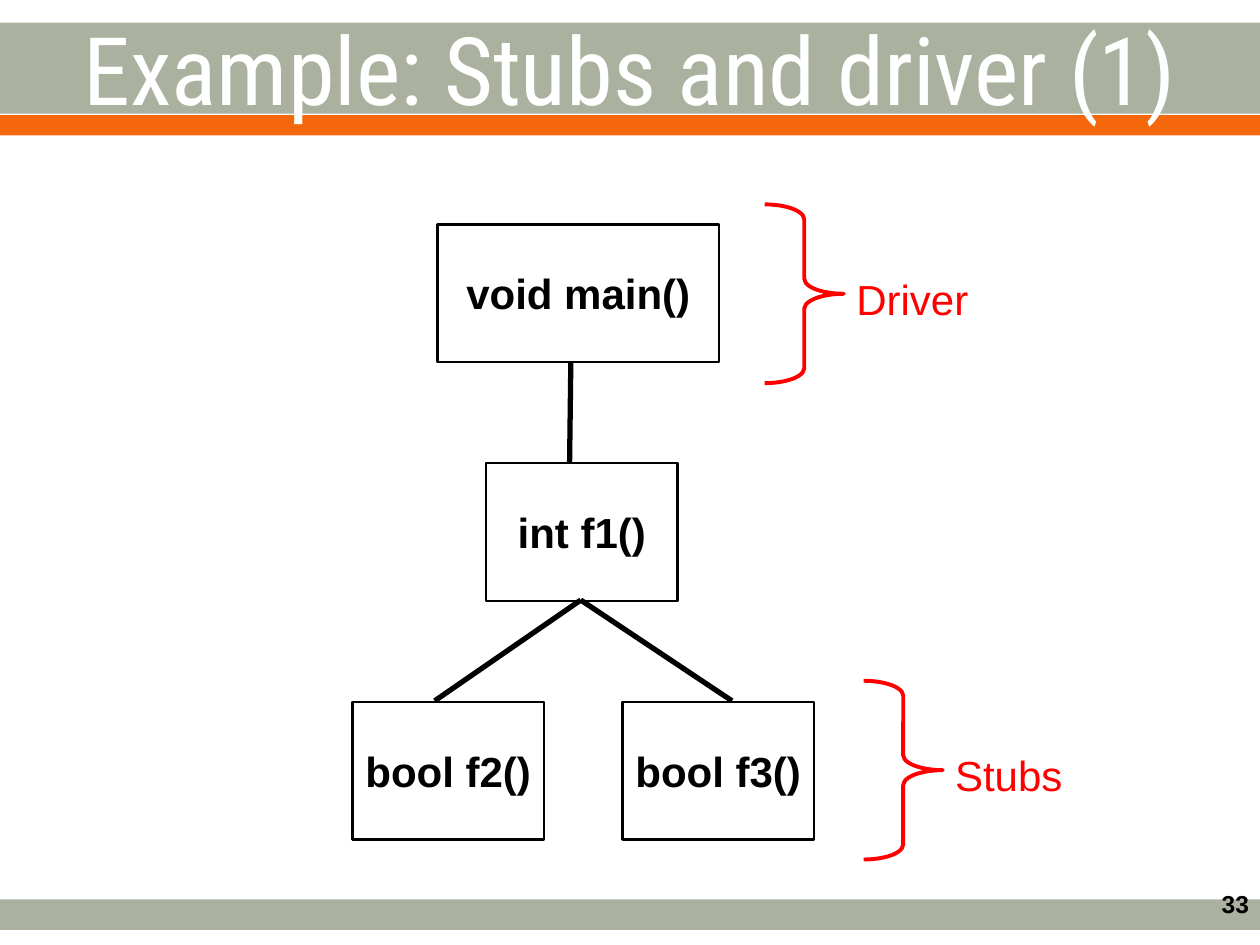
import pptx
import pptx.util
import pptx.dml.color
import pptx.enum.shapes
import pptx.enum.text
import pptx.oxml.ns
import lxml.etree

Pt = pptx.util.Pt
SHAPE = pptx.enum.shapes.MSO_SHAPE
ALIGN = pptx.enum.text.PP_ALIGN
ANCHOR = pptx.enum.text.MSO_ANCHOR

COLORS = {
    "band": "ABB19F",
    "accent": "F4680B",
    "ink": "000000",
    "note": "FF0000",
    "title": "FFFFFF",
}
SLIDE_WIDTH, SLIDE_HEIGHT = 720, 540
BOX_HEIGHT = 78.7
TOP_LEVEL, LEVEL_STEP = 128.2, 136.5
BRACE_WIDTH, BRACE_HEIGHT = 45.2, 102.2


def color(name):
    return pptx.dml.color.RGBColor.from_string(COLORS[name])


def write(shape, text, size=24, font="Arial", ink="ink", bold=False,
          align=ALIGN.LEFT, anchor=ANCHOR.TOP, wrap=False):
    frame = shape.text_frame
    frame.word_wrap = wrap
    frame.vertical_anchor = anchor
    paragraph = frame.paragraphs[0]
    paragraph.alignment = align
    run = paragraph.add_run()
    run.text = text
    run.font.size = Pt(size)
    run.font.name = font
    run.font.bold = bold
    run.font.color.rgb = color(ink)


def add_shape(slide, kind, left, top, width, height, fill=None, line=None, weight=1.5):
    shape = slide.shapes.add_shape(kind, Pt(left), Pt(top), Pt(width), Pt(height))
    shape.shadow.inherit = False
    if fill:
        shape.fill.solid()
        shape.fill.fore_color.rgb = color(fill)
    else:
        shape.fill.background()
    if line:
        shape.line.color.rgb = color(line)
        shape.line.width = Pt(weight)
    else:
        shape.line.fill.background()
    return shape


def add_text(slide, text, left, top, width, height, **text_format):
    box = slide.shapes.add_textbox(Pt(left), Pt(top), Pt(width), Pt(height))
    write(box, text, **text_format)


def add_function(slide, text, left, level, width=109.5):
    box = add_shape(slide, SHAPE.RECTANGLE, left, TOP_LEVEL + level * LEVEL_STEP,
                    width, BOX_HEIGHT, line="ink")
    write(box, text, bold=True, align=ALIGN.CENTER, anchor=ANCHOR.MIDDLE)


def add_call(slide, start_x, start_y, end_x, end_y):
    line = slide.shapes.add_connector(pptx.enum.shapes.MSO_CONNECTOR.STRAIGHT,
                                      Pt(start_x), Pt(start_y), Pt(end_x), Pt(end_y))
    line.line.color.rgb = color("ink")
    line.line.width = Pt(3)
    lxml.etree.SubElement(line.element.spPr, pptx.oxml.ns.qn("a:effectLst"))


def add_brace(slide, text, left, top, label_width):
    brace = add_shape(slide, SHAPE.RIGHT_BRACE, left, top, BRACE_WIDTH, BRACE_HEIGHT,
                      line="note", weight=2.25)
    brace.adjustments[0] = 0.19
    brace.adjustments[1] = 0.5
    add_text(slide, text, left + BRACE_WIDTH, top + 36, label_width, 36, ink="note")


def add_title(slide, text):
    title = slide.shapes.title
    title.left, title.top, title.width, title.height = Pt(0), Pt(0), Pt(SLIDE_WIDTH), Pt(77.8)
    write(title, text, size=54, font="Roboto Condensed", ink="title",
          align=ALIGN.CENTER, anchor=ANCHOR.MIDDLE, wrap=True)
    # Bring the title in front of the bands
    title.element.getparent().append(title.element)


def main():
    presentation = pptx.Presentation()
    presentation.slide_width, presentation.slide_height = Pt(SLIDE_WIDTH), Pt(SLIDE_HEIGHT)
    slide = presentation.slides.add_slide(presentation.slide_layouts[5])

    # Bands, page number and title
    for top, height, fill in ((514, 17.4, "band"), (13, 52, "band"), (65.8, 11.6, "accent")):
        add_shape(slide, SHAPE.RECTANGLE, 0, top, SLIDE_WIDTH, height, fill=fill)
    add_text(slide, "33", 553, 504.7, 167.8, 37.4, size=14, bold=True,
             align=ALIGN.RIGHT, wrap=True)
    add_title(slide, "Example: Stubs and driver (1)")

    # Call tree
    add_function(slide, "void main()", 250, 0, width=161)
    add_function(slide, "int f1()", 277.7, 1)
    add_function(slide, "bool f2()", 201.4, 2)
    add_function(slide, "bool f3()", 355.7, 2)
    add_call(slide, 326.2, 207.2, 325.5, 264.8)
    for end_x in (248.4, 418.3):
        add_call(slide, 331.9, 342.9, end_x, 400.5)

    # Roles
    add_brace(slide, "Driver", 437, 116.8, 78.5)
    add_brace(slide, "Stubs", 493.5, 389, 75.6)

    presentation.save("out.pptx")


main()
